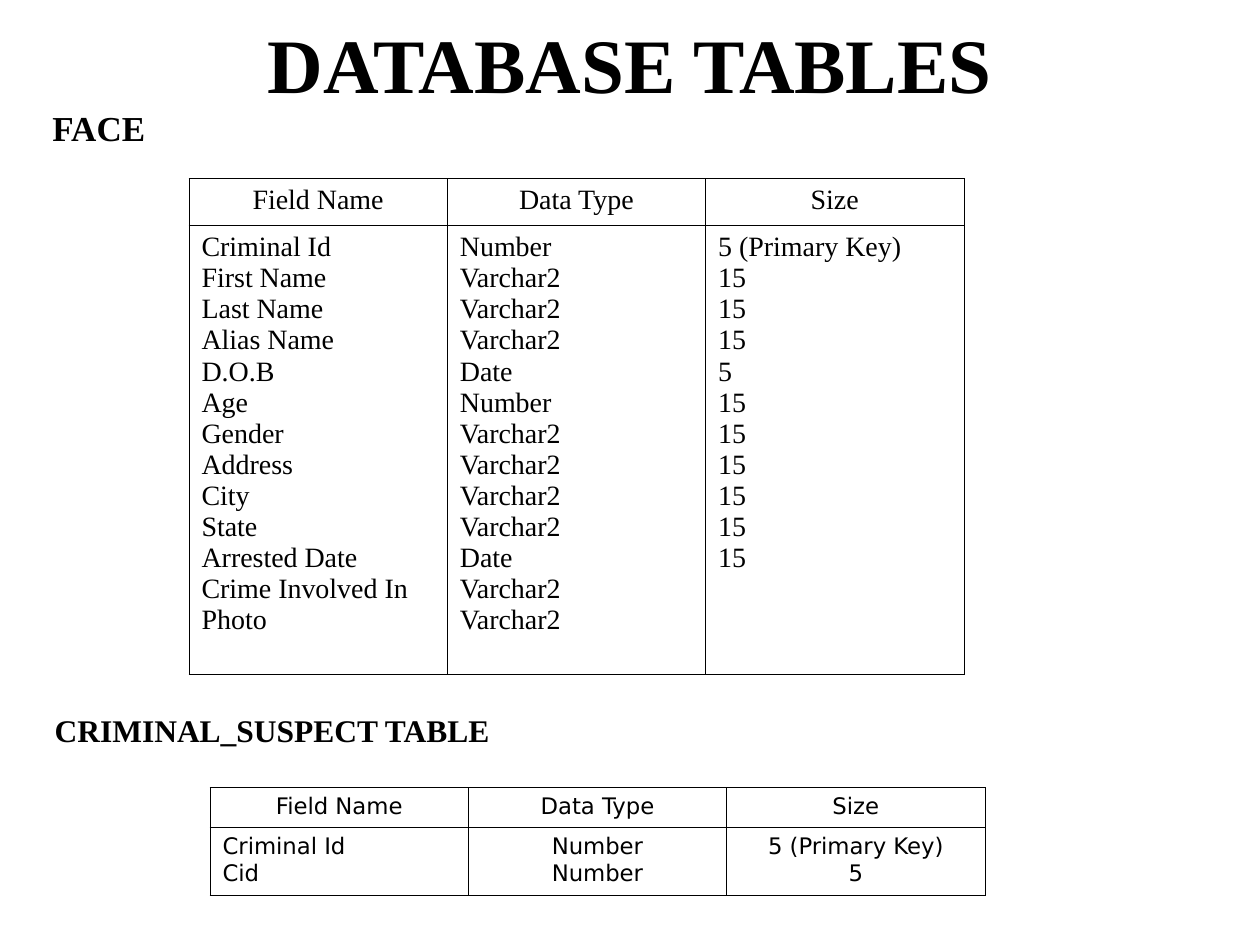
from pptx import Presentation
from pptx.dml.color import RGBColor as RGB
from pptx.enum.text import MSO_ANCHOR as Anchor, PP_ALIGN as Align
from pptx.oxml.ns import qn
from pptx.util import Pt
from lxml.etree import SubElement as Sub

INK = {"text": "000000", "line": "000000", "back": "FFFFFF"}
SERIF, SANS = "Times New Roman", "DejaVu Sans"
HEAD = ["Field Name", "Data Type", "Size"]
FACE = [
    ["Criminal Id", "First Name", "Last Name", "Alias Name", "D.O.B", "Age",
     "Gender", "Address", "City", "State", "Arrested Date",
     "Crime Involved In", "Photo"],
    ["Number"] + ["Varchar2"] * 3 + ["Date", "Number"] + ["Varchar2"] * 4
    + ["Date"] + ["Varchar2"] * 2,
    ["5 (Primary Key)"] + ["15"] * 3 + ["5"] + ["15"] * 6,
]
SUSPECT = [["Criminal Id", "Cid"], ["Number"] * 2, ["5 (Primary Key)", "5"]]


def write(frame, lines, size=16, font=SERIF, bold=False, align=Align.LEFT):
    """Put each line in its own paragraph, all in one format."""
    frame.text = "\n".join(lines)
    for para in frame.paragraphs:
        para.alignment = align
        for run in para.runs:
            run.font.size, run.font.name, run.font.bold = Pt(size), font, bold
            run.font.color.rgb = RGB.from_string(INK["text"])


def border(cell, width=0.45):
    props = cell._tc.get_or_add_tcPr()
    for n, side in enumerate(("lnL", "lnR", "lnT", "lnB")):
        line = Sub(props, qn(f"a:{side}"), w=str(Pt(width)))
        fill = Sub(line, qn("a:solidFill"))
        Sub(fill, qn("a:srgbClr"), val=INK["line"])
        props.insert(n, line)


class Page:
    def __init__(self, deck):
        self.slide = deck.slides.add_slide(deck.slide_layouts[5])
        fill = self.slide.background.fill
        fill.solid()
        fill.fore_color.rgb = RGB.from_string(INK["back"])

    def title(self, text, left, top, width, height):
        box = self.slide.shapes.title
        box.left, box.top = Pt(left), Pt(top)
        box.width, box.height = Pt(width), Pt(height)
        box.text_frame.vertical_anchor = Anchor.MIDDLE
        write(box.text_frame, [text], size=44, bold=True, align=Align.CENTER)

    def label(self, text, left, top, width, height, size):
        box = self.slide.shapes.add_textbox(
            Pt(left), Pt(top), Pt(width), Pt(height))
        frame = box.text_frame
        frame.word_wrap = False
        frame.margin_left = frame.margin_right = 0
        frame.margin_top = frame.margin_bottom = 0
        write(frame, [text], size=size, bold=True)

    def table(self, cols, left, top, rows, aligns, wide=147.6, **style):
        """Draw a head row above one tall row that lists all fields."""
        grid = self.slide.shapes.add_table(
            2, len(cols), Pt(left), Pt(top),
            Pt(wide * len(cols)), Pt(sum(rows))).table
        grid.first_row = grid.horz_banding = False
        for row, height in zip(grid.rows, rows):
            row.height = Pt(height)
        for n, (name, lines, align) in enumerate(zip(HEAD, cols, aligns)):
            grid.columns[n].width = Pt(wide)
            write(grid.cell(0, n).text_frame, [name],
                  align=Align.CENTER, **style)
            write(grid.cell(1, n).text_frame, lines, align=align, **style)
        for cell in grid.iter_cells():
            cell.fill.background()
            border(cell)


def main():
    deck = Presentation()
    deck.slide_width, deck.slide_height = Pt(720), Pt(540)
    page = Page(deck)
    page.title("DATABASE TABLES", 36, 0, 648, 72)
    page.label("FACE", 30, 61, 78, 48, size=20)
    page.table(FACE, 108, 102, (26.8, 256.7), [Align.LEFT] * 3)
    page.label("CRIMINAL_SUSPECT TABLE", 31.2, 406.5, 250, 42, size=18)
    page.table(SUSPECT, 120, 450, (22.8, 38.7),
               [Align.LEFT, Align.CENTER, Align.CENTER], size=13, font=SANS)
    deck.save("out.pptx")


if __name__ == "__main__":
    main()
